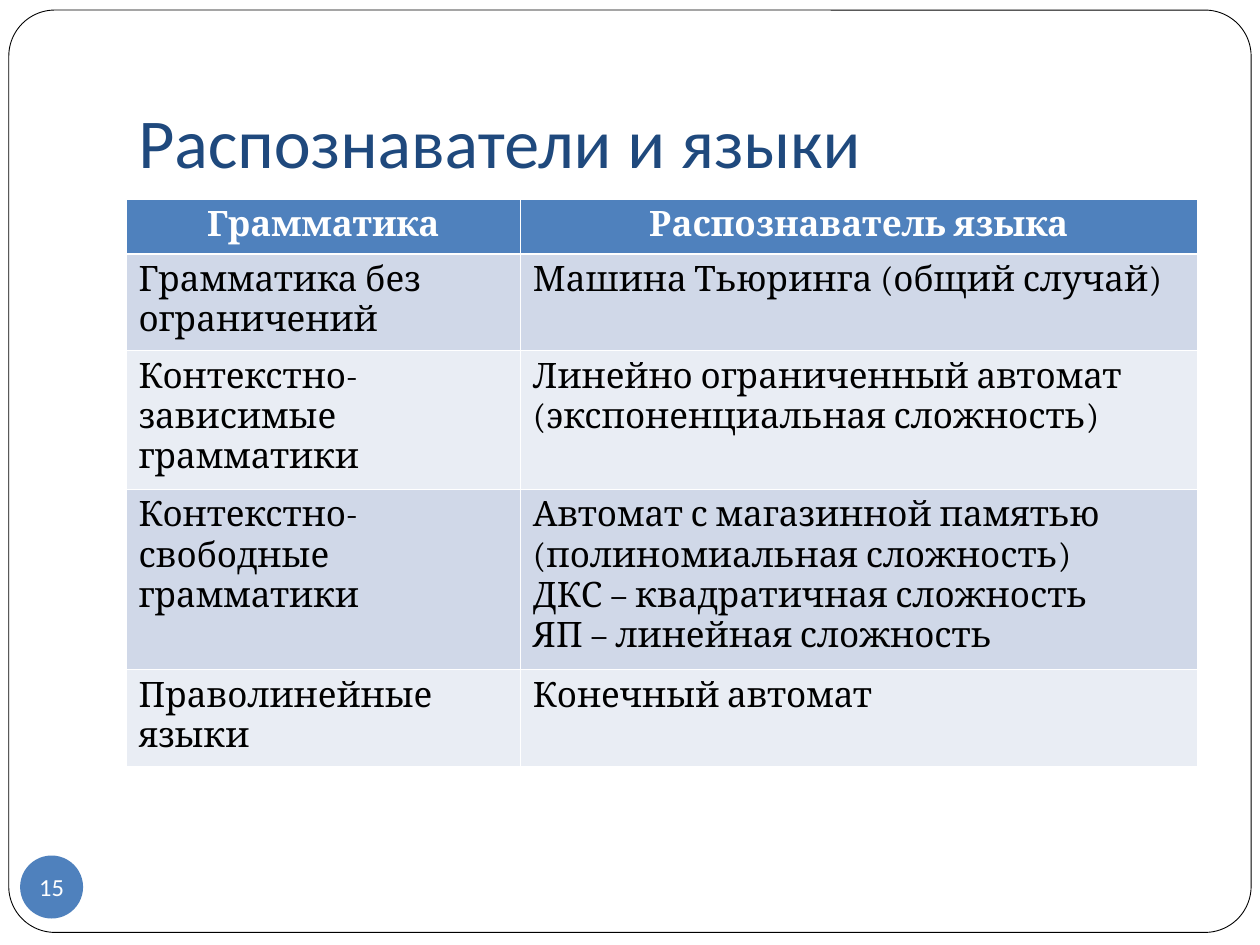
from lxml import etree
from pptx import Presentation
from pptx.dml.color import RGBColor
from pptx.enum.shapes import MSO_SHAPE
from pptx.enum.text import MSO_ANCHOR, PP_ALIGN
from pptx.oxml.ns import qn
from pptx.util import Inches, Pt

WHITE = RGBColor(0xFF, 0xFF, 0xFF)
BLACK = RGBColor(0x00, 0x00, 0x00)
NAVY = RGBColor(0x1F, 0x49, 0x7D)
BLUE = RGBColor(0x4F, 0x81, 0xBD)
BAND_DARK = RGBColor(0xD0, 0xD8, 0xE8)
BAND_LIGHT = RGBColor(0xE9, 0xED, 0xF4)
ROUNDED, OVAL = MSO_SHAPE.ROUNDED_RECTANGLE, MSO_SHAPE.OVAL
LEFT, CENTER = PP_ALIGN.LEFT, PP_ALIGN.CENTER
BOTTOM, MIDDLE = MSO_ANCHOR.BOTTOM, MSO_ANCHOR.MIDDLE

TITLE_FONT = {"name": "Calibri", "size": Pt(40), "color": NAVY}
NUMBER_FONT = {"name": "Calibri", "size": Pt(14), "color": WHITE}
HEADER_FONT = {"name": "Cambria", "size": Pt(20), "color": WHITE, "bold": True}
BODY_FONT = {"name": "Cambria", "size": Pt(20), "color": BLACK, "bold": False}

# Content column shared by the title and the table
CONTENT_LEFT, CONTENT_WIDTH = Inches(1), Inches(8.5)
COLUMN_WIDTHS = (3.13, 5.37)
ROW_HEIGHTS = (0.42, 0.74, 1.06, 1.38, 0.74)
ROWS = [
    ("Грамматика", "Распознаватель языка"),
    ("Грамматика без ограничений", "Машина Тьюринга (общий случай)"),
    ("Контекстно-зависимые грамматики",
     "Линейно ограниченный автомат (экспоненциальная сложность)"),
    ("Контекстно-свободные грамматики",
     "Автомат с магазинной памятью\n(полиномиальная сложность)\n"
     "ДКС – квадратичная сложность\nЯП – линейная сложность"),
    ("Праволинейные языки", "Конечный автомат"),
]


def write(frame, text, font_format, align):
    frame.text = text
    for para in frame.paragraphs:
        para.alignment = align
        for span in para.runs:
            for name, value in font_format.items():
                if name == "color":
                    span.font.color.rgb = value
                else:
                    setattr(span.font, name, value)


def add_border(cell, side, points):
    line = etree.SubElement(cell._tc.get_or_add_tcPr(), qn(f"a:ln{side}"), w=str(Pt(points)))
    fill = etree.SubElement(line, qn("a:solidFill"))
    etree.SubElement(fill, qn("a:srgbClr"), val=str(WHITE))


deck = Presentation()
deck.slide_width, deck.slide_height = Inches(10), Inches(7.5)
page = deck.slides.add_slide(deck.slide_layouts[6])

# Rounded page frame
frame = page.shapes.add_shape(ROUNDED, Inches(0.07), Inches(0.08), Inches(9.86), Inches(7.32))
frame.adjustments[0] = 0.05
frame.shadow.inherit = False
frame.fill.solid()
frame.fill.fore_color.rgb = WHITE
frame.line.color.rgb = BLACK
frame.line.width = Pt(0.5)

# Title
title = page.shapes.add_textbox(CONTENT_LEFT, Inches(0.3), CONTENT_WIDTH, Inches(1.25)).text_frame
title.word_wrap = True
title.vertical_anchor = BOTTOM
title.margin_bottom = Inches(0.1)
write(title, "Распознаватели и языки", TITLE_FONT, LEFT)

# Page number badge
badge = page.shapes.add_shape(OVAL, Inches(0.16), Inches(6.79), Inches(0.5), Inches(0.5))
badge.shadow.inherit = False
badge.fill.solid()
badge.fill.fore_color.rgb = BLUE
badge.line.fill.background()
number = badge.text_frame
number.word_wrap = False
number.vertical_anchor = MIDDLE
for side in ("left", "top", "right", "bottom"):
    setattr(number, f"margin_{side}", 0)
write(number, "15", NUMBER_FONT, CENTER)

# Table of grammars and recognizers
table = page.shapes.add_table(
    len(ROWS), len(COLUMN_WIDTHS), CONTENT_LEFT, Inches(1.58),
    CONTENT_WIDTH, Inches(sum(ROW_HEIGHTS))).table
for column, width in zip(table.columns, COLUMN_WIDTHS):
    column.width = Inches(width)
for row, height in zip(table.rows, ROW_HEIGHTS):
    row.height = Inches(height)

for row_index, texts in enumerate(ROWS):
    is_header = row_index == 0
    band = BLUE if is_header else (BAND_LIGHT, BAND_DARK)[row_index % 2]
    for column_index, text in enumerate(texts):
        cell = table.cell(row_index, column_index)
        write(cell.text_frame, text, HEADER_FONT if is_header else BODY_FONT,
              CENTER if is_header else LEFT)
        for side in "LRTB":
            under_header = (row_index, side) in ((0, "B"), (1, "T"))
            add_border(cell, side, 1.5 if under_header else 0.45)
        cell.fill.solid()
        cell.fill.fore_color.rgb = band

deck.save("out.pptx")
